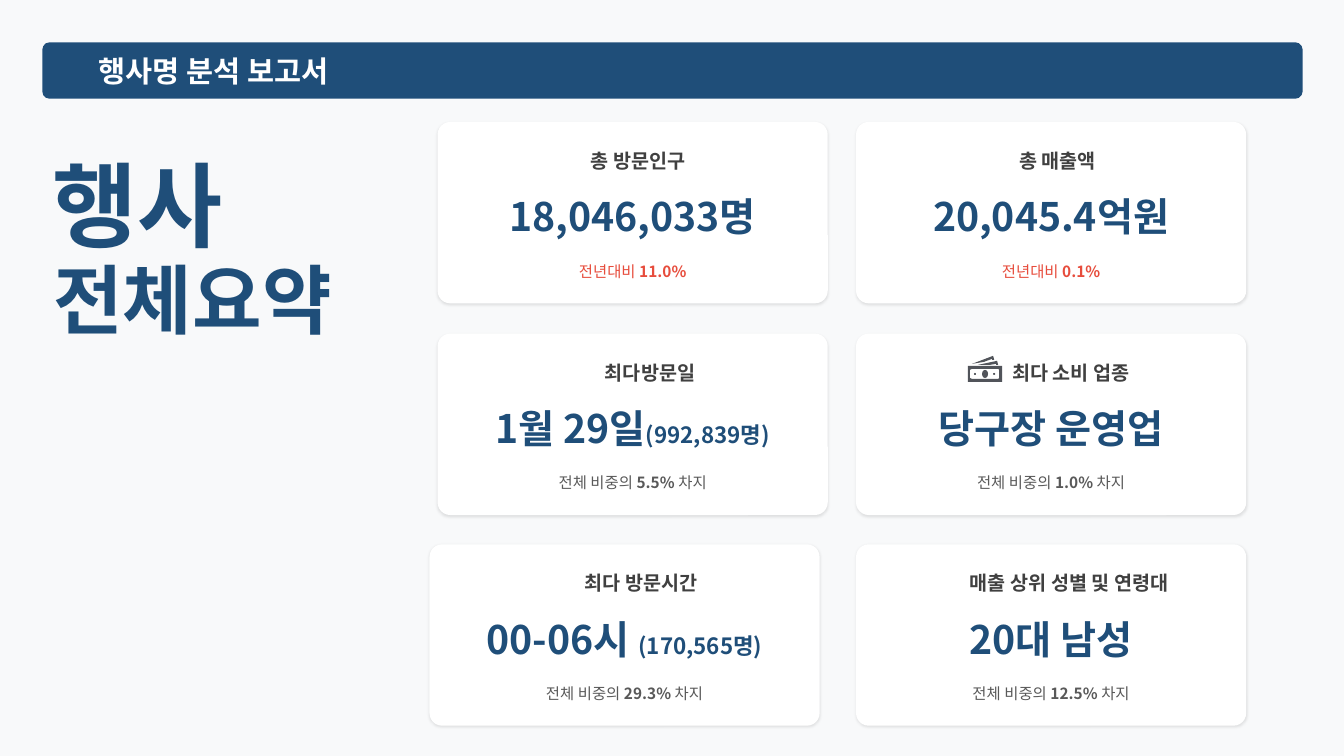
from dataclasses import dataclass

from lxml import etree
from pptx import Presentation
from pptx.dml.color import RGBColor
from pptx.enum.shapes import MSO_SHAPE as Preset
from pptx.enum.text import MSO_ANCHOR as Anchor, PP_ALIGN as Align
from pptx.oxml.ns import qn
from pptx.util import Pt

PX = 9144  # EMU per px, 100 px to the inch


@dataclass(frozen=True)
class Theme:
    font: str = "Noto Sans CJK KR"
    page: str = "F8F9FA"
    navy: str = "1F4E79"
    white: str = "FFFFFF"
    heading: str = "404040"
    muted: str = "595959"
    alert: str = "E74C3C"
    icon: str = "51545A"
    event_size: int = 66
    summary_size: int = 54
    value_size: int = 28
    banner_size: int = 21
    count_size: int = 16
    heading_size: int = 14
    note_size: int = 11


THEME = Theme()
CARD_SIZE = (387, 180)

# Each card: left, top, heading, heading offset and width, value, count, note
CARDS = [
    (434, 121, "총 방문인구", 152, 124, "18,046,033명", "", ("전년대비 ", "11.0%")),
    (849, 121, "총 매출액", 162, 115, "20,045.4억원", "", ("전년대비 ", "0.1%")),
    (434, 331, "최다방문일", 166, 98, "1월 29일", "(992,839명)",
     ("전체 비중의 ", "5.5% ", "차지")),
    (849, 331, "최다 소비 업종", 155, 124, "당구장 운영업", "",
     ("전체 비중의 ", "1.0% ", "차지")),
    (426, 540, "최다 방문시간", 154, 116, "00-06시 ", "(170,565명)",
     ("전체 비중의 ", "29.3% ", "차지")),
    (849, 540, "매출 상위 성별 및 연령대", 113, 202, "20대 남성", "",
     ("전체 비중의 ", "12.5% ", "차지")),
]


def paint(shape, color):
    shape.shadow.inherit = False
    shape.fill.solid()
    shape.fill.fore_color.rgb = RGBColor.from_string(color)
    shape.line.fill.background()
    return shape


def add_preset(page, preset, box, color):
    return paint(page.shapes.add_shape(preset, *(n * PX for n in box)), color)


def add_rounded(page, box, color, radius):
    shape = add_preset(page, Preset.ROUNDED_RECTANGLE, box, color)
    shape.adjustments[0] = radius
    return shape


def add_outline(page, origin, contours, color):
    left, top = origin
    moved = [[(left + x, top + y) for x, y in contour] for contour in contours]
    builder = page.shapes.build_freeform(*moved[0][0], scale=PX)
    builder.add_line_segments(moved[0][1:], close=True)
    for contour in moved[1:]:
        builder.move_to(*contour[0])
        builder.add_line_segments(contour[1:], close=True)
    return paint(builder.convert_to_shape(), color)


def add_text(page, box, *spans, size, color, bold=True, align=Align.LEFT):
    """Each span is a string, or a (string, format changes) pair."""
    frame = page.shapes.add_textbox(*(n * PX for n in box)).text_frame
    frame.word_wrap = True
    frame.vertical_anchor = Anchor.MIDDLE
    frame.margin_left = frame.margin_right = 0
    frame.margin_top = frame.margin_bottom = 0
    para = frame.paragraphs[0]
    para.alignment = align
    for item in spans:
        words, changes = (item, {}) if isinstance(item, str) else item
        span = para.add_run()
        span.text = words
        font = span.font
        font.size = Pt(changes.get("size", size))
        font.bold = changes.get("bold", bold)
        font.name = THEME.font
        font.color.rgb = RGBColor.from_string(color)
        # Korean glyphs take the East Asian typeface
        east_asian = etree.SubElement(font._element, qn("a:ea"))
        east_asian.set("typeface", THEME.font)


def add_soft_shadow(shape):
    effects = shape._element.spPr.find(qn("a:effectLst"))
    shadow = etree.SubElement(
        effects, qn("a:outerShdw"), blurRad=str(Pt(2)), dist=str(Pt(1)),
        dir="5400000", algn="t", rotWithShape="0")
    color = etree.SubElement(shadow, qn("a:srgbClr"), val="000000")
    etree.SubElement(color, qn("a:alpha"), val="10000")


def add_banner(page, box):
    left, top, width, height = box
    add_rounded(page, box, THEME.navy, 0.13)
    add_text(page, (left + 56, top + 7, 657, 43), "행사명 분석 보고서",
             size=THEME.banner_size, color=THEME.white)


def add_side_title(page, box):
    left, top, width, height = box
    add_text(page, (left, top, 233, 132), "행사",
             size=THEME.event_size, color=THEME.navy)
    add_text(page, (left + 1, top + 105, width, 109), "전체요약",
             size=THEME.summary_size, color=THEME.navy)


def add_card(page, box, heading, heading_left, heading_width, value, count, note):
    left, top, width, height = box
    add_soft_shadow(add_rounded(page, box, THEME.white, 0.07))
    add_text(page, (left + heading_left, top + 26, heading_width, 25), heading,
             size=THEME.heading_size, color=THEME.heading)
    spans = [value] + ([(count, {"size": THEME.count_size})] if count else [])
    add_text(page, (left, top + 69, width, 49), *spans,
             size=THEME.value_size, color=THEME.navy, align=Align.CENTER)
    # The figure in the middle of the note is bold
    spans = [(words, {"bold": place == 1}) for place, words in enumerate(note)]
    color = THEME.alert if len(note) == 2 else THEME.muted
    add_text(page, (left, top + 134, width, 28), *spans,
             size=THEME.note_size, color=color, align=Align.CENTER)


def add_money_icon(page, box):
    left, top, width, height = box
    # Front note with its inner frame cut out
    edge = [(0, 10), (0, height), (width, height), (width, 10)]
    frame = [(31, 22), (30, 23), (4, 23), (2, 22),
             (2, 14), (4, 13), (30, 13), (31, 14)]
    # Two notes fanned out behind
    back = [(24, 3), (24, 4), (26, 4), (25, 0), (4, 8), (16, 6)]
    middle = [(22, 9), (28, 8), (28, 9), (30, 9), (29, 5), (10, 9)]
    for contours in ([frame, edge], [back], [middle]):
        add_outline(page, (left, top), contours, THEME.icon)
    # Centre medallion and side dots
    for x, y, across, down in ((14, 14, 6, 8), (6, 17, 2, 2), (25, 17, 2, 2)):
        add_preset(page, Preset.OVAL, (left + x, top + y, across, down), THEME.icon)


def build_summary(deck):
    page = deck.slides.add_slide(deck.slide_layouts[6])
    page.background.fill.solid()
    page.background.fill.fore_color.rgb = RGBColor.from_string(THEME.page)
    add_banner(page, (42, 42, 1250, 56))
    add_side_title(page, (52, 136, 296, 214))
    for left, top, *content in CARDS:
        add_card(page, (left, top, *CARD_SIZE), *content)
    add_money_icon(page, (960, 353, 34, 26))


def main():
    deck = Presentation()
    deck.slide_width, deck.slide_height = 1333 * PX, 750 * PX
    build_summary(deck)
    deck.save("out.pptx")


if __name__ == "__main__":
    main()
